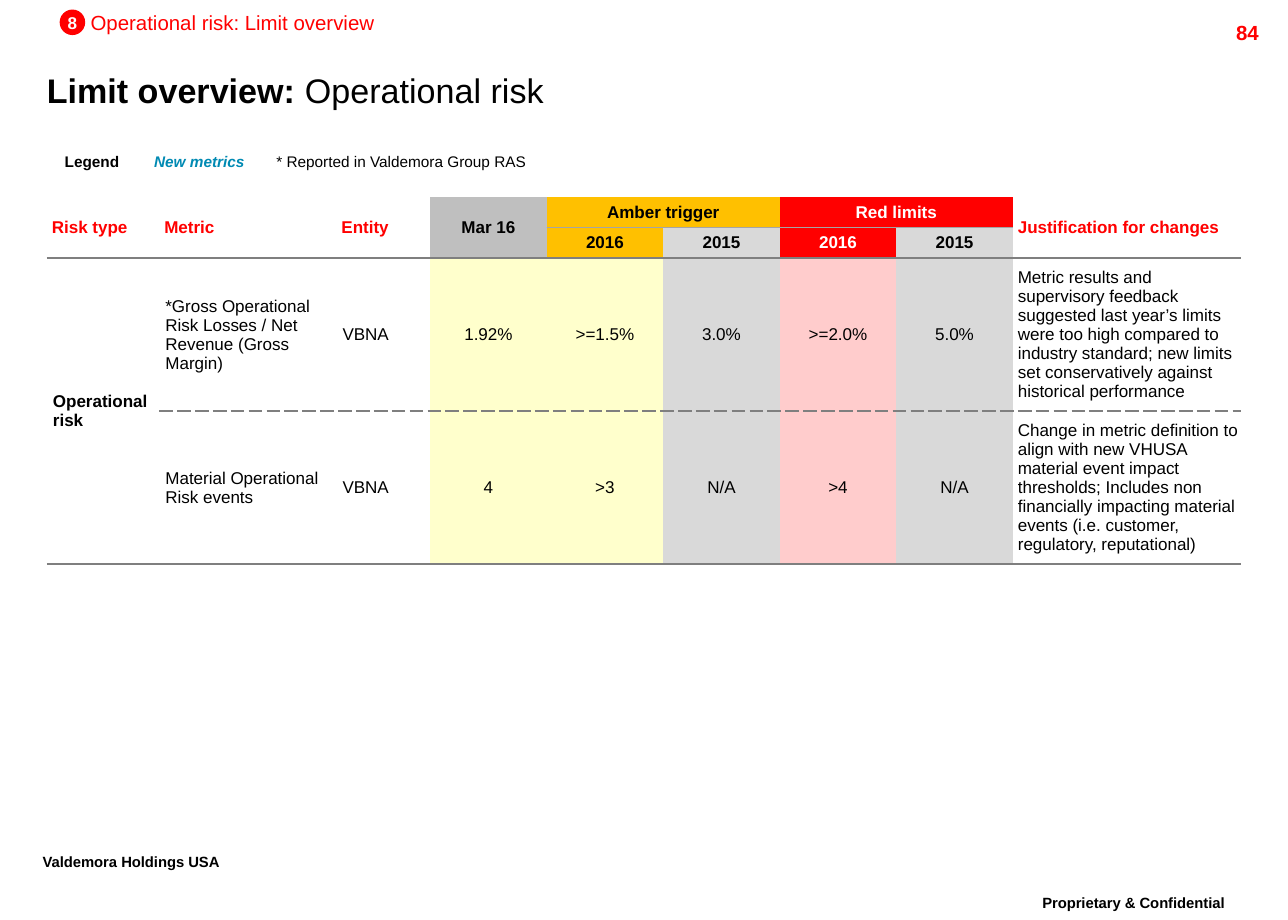
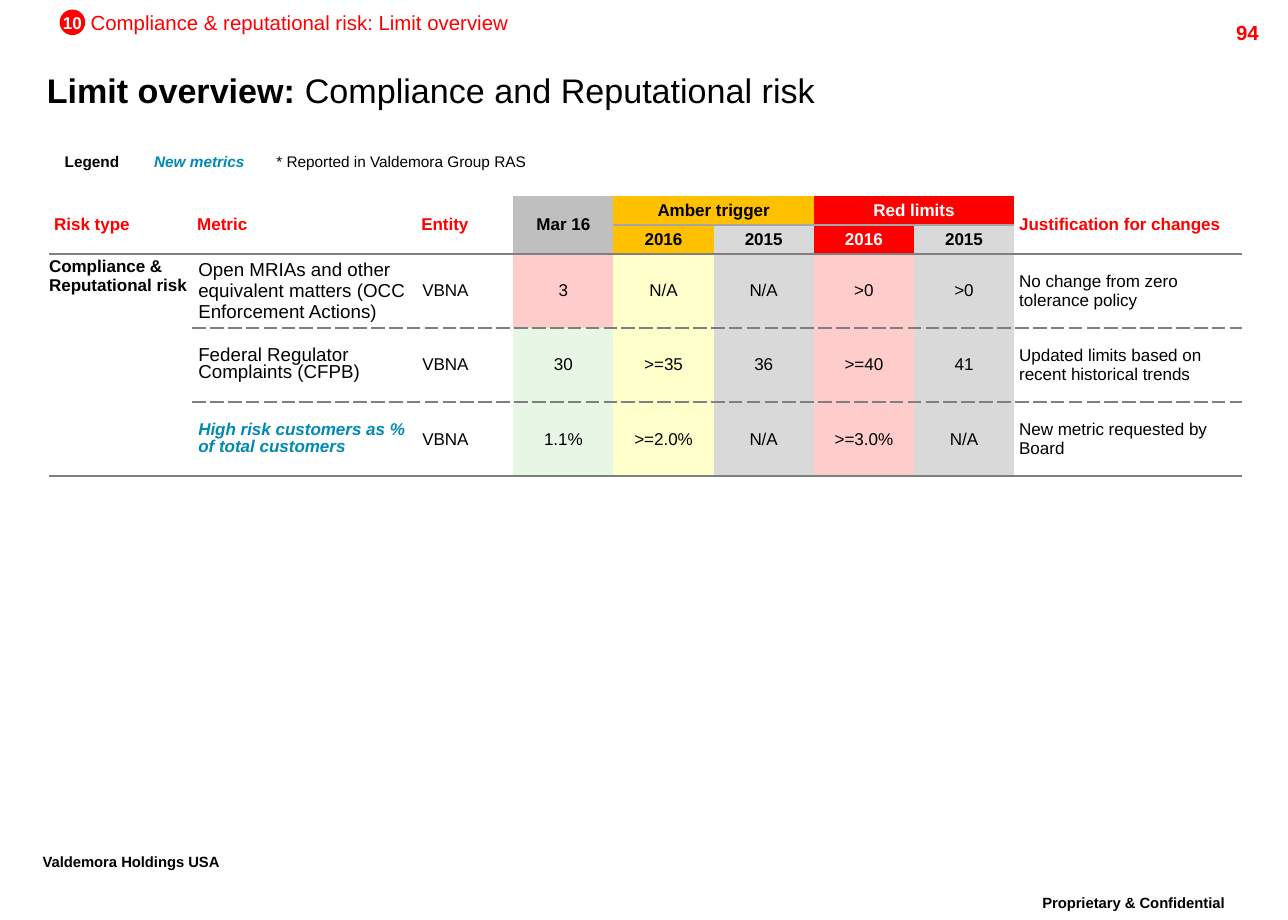
from lxml import etree
from pptx import Presentation
from pptx.dml.color import RGBColor
from pptx.enum import shapes, text
from pptx.oxml.ns import qn
from pptx.util import Pt

FONT = "Arial"
C = {
    "black": "000000", "white": "FFFFFF", "red": "FF0000", "teal": "008AB3",
    "amber": "FFC000", "grey": "BFBFBF", "pale_grey": "D9D9D9",
    "pale_amber": "FFFFCC", "pale_red": "FFCCCC", "pale_green": "E8F6E6",
    "rule": "7F7F7F", "thin_rule": "A5A5A5",
}
NO_STYLE = "{2D5ABB26-0587-4C30-8999-92F81FD0307C}"
LEFT, CENTER, RIGHT = (text.PP_ALIGN.LEFT, text.PP_ALIGN.CENTER,
                       text.PP_ALIGN.RIGHT)
TOP, MIDDLE = text.MSO_ANCHOR.TOP, text.MSO_ANCHOR.MIDDLE

SLIDES = [
    {
        "number": "8", "section": "Operational risk: Limit overview",
        "page": "84", "subject": "Operational risk",
        "table": {
            "box": (27.5, 115.6), "columns": (66, 104, 55, 68.4, 134),
            "header_height": 18, "row_height": 89.8,
            "risk": "Operational risk", "risk_anchor": MIDDLE, "risk_inset": 3.6,
            "rows": [
                (("*Gross Operational Risk Losses / Net Revenue (Gross Margin)", {}),
                 "pale_amber", ("1.92%", ">=1.5%", "3.0%", ">=2.0%", "5.0%"),
                 "Metric results and supervisory feedback suggested last year’s "
                 "limits were too high compared to industry standard; new limits "
                 "set conservatively against historical performance"),
                (("Material Operational Risk events", {}),
                 "pale_amber", ("4", ">3", "N/A", ">4", "N/A"),
                 "Change in metric definition to align with new VHUSA material "
                 "event impact thresholds; Includes non financially impacting "
                 "material events (i.e. customer, regulatory, reputational)"),
            ],
        },
    },
    {
        "number": "10", "section": "Compliance & reputational risk: Limit overview",
        "page": "94", "subject": "Compliance and Reputational risk",
        "table": {
            "box": (28.8, 115), "columns": (84, 131.5, 57, 58.8, 133.8),
            "header_height": 17, "row_height": 43.5,
            "risk": "Compliance & Reputational risk", "risk_anchor": TOP,
            "risk_inset": 0,
            "rows": [
                (("Open MRIAs and other equivalent matters (OCC Enforcement "
                  "Actions)", {"size": 11}),
                 "pale_red", ("3", "N/A", "N/A", ">0", ">0"),
                 "No change from zero tolerance policy"),
                (("Federal Regulator Complaints (CFPB)",
                  {"size": 11, "spacing": Pt(10)}),
                 "pale_green", ("30", ">=35", "36", ">=40", "41"),
                 "Updated limits based on recent historical trends"),
                (("High risk customers as % of total customers",
                  {"color": "teal", "bold": True, "italic": True,
                   "spacing": Pt(10)}),
                 "pale_green", ("1.1%", ">=2.0%", "N/A", ">=3.0%", "N/A"),
                 "New metric requested by Board"),
            ],
        },
    },
]


def rgb(name):
    return RGBColor.from_string(C[name])


def add_run(p, words, size=10, color="black", bold=False, italic=False):
    r = p.add_run()
    r.text = words
    f = r.font
    f.name, f.size, f.bold, f.italic = FONT, Pt(size), bold, italic
    f.color.rgb = rgb(color)
    return r


def set_frame(tf, inset=(0, 0), anchor=TOP, wrap=True):
    tf.margin_left = tf.margin_right = Pt(inset[0])
    tf.margin_top = tf.margin_bottom = Pt(inset[1])
    tf.vertical_anchor, tf.word_wrap = anchor, wrap


def add_text(s, box, words, align=LEFT, inset=(7.2, 3.6), spacing=None,
             wrap=True, **font):
    tf = s.shapes.add_textbox(*map(Pt, box)).text_frame
    set_frame(tf, inset, wrap=wrap)
    p = tf.paragraphs[0]
    p.alignment, p.line_spacing = align, spacing
    return add_run(p, words, **font)


# Section marker, page number and footers
def add_frame(s, number, section, page):
    sp = s.shapes.add_shape(shapes.MSO_SHAPE.OVAL, Pt(35), Pt(5.6), Pt(15), Pt(15))
    sp.shadow.inherit = False
    sp.fill.solid()
    sp.fill.fore_color.rgb = rgb("red")
    sp.line.fill.background()
    set_frame(sp.text_frame, anchor=MIDDLE, wrap=False)
    p = sp.text_frame.paragraphs[0]
    p.alignment = CENTER
    add_run(p, number, color="white", bold=True)

    add_text(s, (53.2, 5.8, 260, 14.4), section, inset=(0, 0), size=12, color="red")
    add_text(s, (674, 8, 72, 17.3), page, RIGHT, size=12, color="red", bold=True)
    for box, words, align in (
            ((18, 497.5, 150, 25), "Valdemora Holdings USA", LEFT),
            ((586.8, 522, 157, 25), "Proprietary & Confidential", CENTER)):
        r = add_text(s, box, words, align, spacing=0.86, size=15, bold=True)
        r.font._element.set("baseline", "30000")


def add_title(s, subject):
    sp = s.shapes.title
    sp.left, sp.top, sp.width, sp.height = map(Pt, (27.5, 35.3, 682.5, 34.6))
    set_frame(sp.text_frame, anchor=MIDDLE)
    p = sp.text_frame.paragraphs[0]
    p.alignment = LEFT
    add_run(p, "Limit overview: ", 20, bold=True)
    add_run(p, subject, 20)


def add_legend(s, left, top):
    for dx, width, words, font in (
            (0, 50.4, "Legend", {"bold": True}),
            (54, 68.4, "New metrics",
             {"color": "teal", "bold": True, "italic": True}),
            (126, 161.3, "* Reported in Valdemora Group RAS", {})):
        add_text(s, (left + dx, top, width, 16.6), words, CENTER, spacing=0.86,
                 wrap=False, size=9, **font)


# Table cells and rules
def draw_edge(cell, side, color, width, dash):
    ln = etree.SubElement(cell._tc.get_or_add_tcPr(), qn("a:ln" + side),
                          w=str(Pt(width)))
    fill = etree.SubElement(ln, qn("a:solidFill"))
    etree.SubElement(fill, qn("a:srgbClr"), val=C[color])
    etree.SubElement(ln, qn("a:prstDash"), val=dash)


def rule_below(table, row, columns, color="rule", width=1.5, dash="solid"):
    for col in columns:
        draw_edge(table.cell(row, col), "B", color, width, dash)
        if row + 1 < len(table.rows):
            draw_edge(table.cell(row + 1, col), "T", color, width, dash)


def fill_cell(cell, words, fill="white", align=LEFT, inset=3, anchor=MIDDLE,
              spacing=None, **font):
    cell.fill.solid()
    cell.fill.fore_color.rgb = rgb(fill)
    cell.margin_left, cell.margin_right = Pt(inset), Pt(min(inset, 1))
    cell.margin_top = cell.margin_bottom = Pt(2)
    if align == CENTER:
        cell.margin_right = cell.margin_left
    cell.vertical_anchor = anchor
    p = cell.text_frame.paragraphs[0]
    p.alignment, p.line_spacing = align, spacing
    add_run(p, words, **font)


def fill_header(table):
    def head(row, col, words, fill="white", color="black", align=CENTER):
        fill_cell(table.cell(row, col), words, fill, align, color=color, bold=True)

    for col, words in ((0, "Risk type"), (1, "Metric"), (2, "Entity"),
                       (8, "Justification for changes")):
        head(0, col, words, color="red", align=LEFT)
    head(0, 3, "Mar 16", "grey")
    for col, words, fill, color in ((4, "Amber trigger", "amber", "black"),
                                    (6, "Red limits", "red", "white")):
        head(0, col, words, fill, color)
        head(1, col, "2016", fill, color)
        head(1, col + 1, "2015", "pale_grey")
        table.cell(0, col).merge(table.cell(0, col + 1))
    for col in (0, 1, 2, 3, 8):
        table.cell(0, col).merge(table.cell(1, col))


def add_limit_table(s, box, columns, header_height, row_height, risk,
                    risk_anchor, risk_inset, rows):
    widths = columns[:3] + columns[3:4] * 5 + columns[4:]
    heights = [header_height] * 2 + [row_height] * len(rows)
    last = len(heights) - 1
    table = s.shapes.add_table(
        len(heights), len(widths),
        *map(Pt, (*box, sum(widths), sum(heights)))).table
    table.first_row = table.horz_banding = False
    table._tbl.tblPr.find(qn("a:tableStyleId")).text = NO_STYLE
    for col, width in zip(table.columns, widths):
        col.width = Pt(width)
    for row, height in zip(table.rows, heights):
        row.height = Pt(height)

    # Rules run from top to bottom, before the fills
    rule_below(table, 0, range(4, 8), "thin_rule", 1)
    rule_below(table, 1, range(9))
    for i in range(2, last):
        rule_below(table, i, range(1, 9), width=1, dash="sysDash")
    rule_below(table, last, range(9))
    draw_edge(table.cell(2, 0), "B", "rule", 1.5, "solid")

    fill_header(table)
    fill_cell(table.cell(2, 0), risk, inset=risk_inset, anchor=risk_anchor,
              bold=True)
    table.cell(2, 0).merge(table.cell(last, 0))
    for i, ((metric, style), result_fill, values, reason) in enumerate(rows, 2):
        fill_cell(table.cell(i, 1), metric, inset=3.6, **style)
        fill_cell(table.cell(i, 2), "VBNA", inset=3.6)
        fills = (result_fill, "pale_amber", "pale_grey", "pale_red", "pale_grey")
        for col, (value, fill) in enumerate(zip(values, fills), 3):
            fill_cell(table.cell(i, col), value, fill, CENTER)
        fill_cell(table.cell(i, 8), reason)


def add_limit_slide(prs, number, section, page, subject, table):
    s = prs.slides.add_slide(prs.slide_layouts[5])
    add_frame(s, number, section, page)
    add_title(s, subject)
    add_legend(s, 28.8, 87.1)
    add_limit_table(s, **table)


def main():
    prs = Presentation()
    prs.slide_width, prs.slide_height = Pt(756), Pt(540)
    for content in SLIDES:
        add_limit_slide(prs, **content)
    prs.save("out.pptx")


if __name__ == "__main__":
    main()
